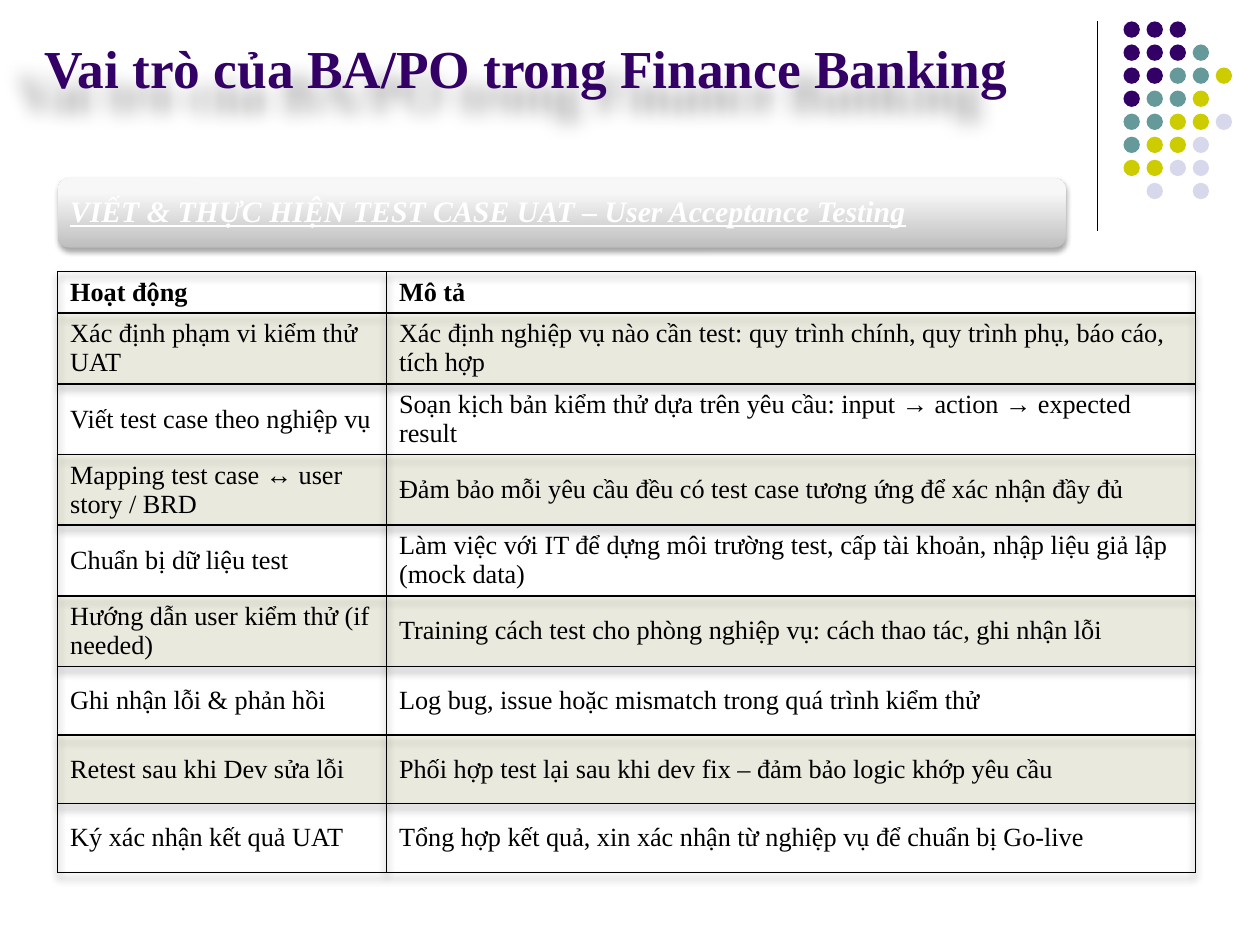
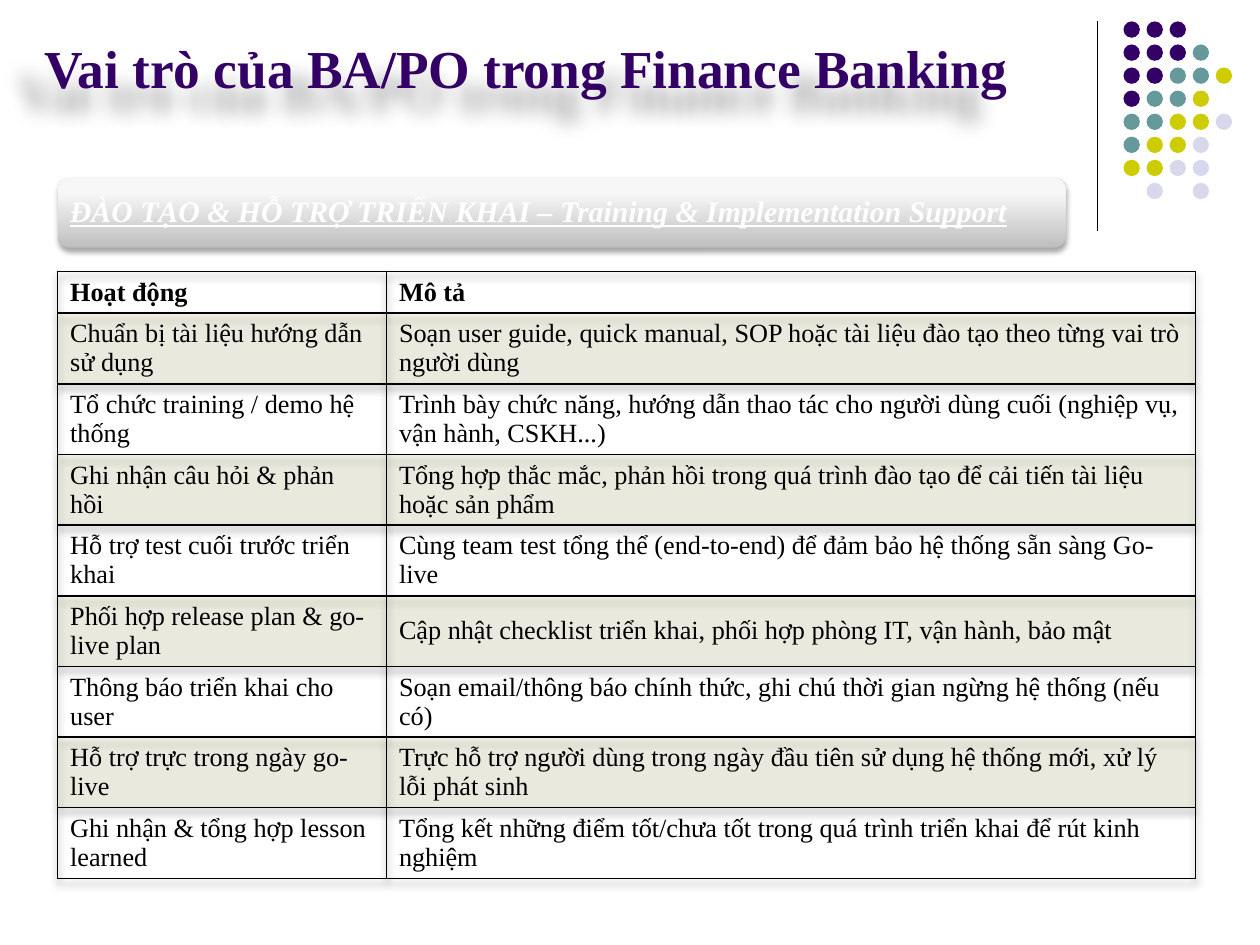
from pptx import Presentation
from pptx.dml.color import RGBColor
from pptx.enum.shapes import MSO_CONNECTOR, MSO_SHAPE
from pptx.enum.text import MSO_ANCHOR, MSO_AUTO_SIZE, PP_ALIGN
from pptx.oxml import parse_xml
from pptx.oxml.ns import nsdecls
from pptx.util import Inches, Pt

LINE = MSO_CONNECTOR.STRAIGHT
OVAL, ROUNDED = MSO_SHAPE.OVAL, MSO_SHAPE.ROUNDED_RECTANGLE
MIDDLE, BOTTOM = MSO_ANCHOR.MIDDLE, MSO_ANCHOR.BOTTOM
LEFT = PP_ALIGN.LEFT
NO_FIT = MSO_AUTO_SIZE.NONE

SLIDE_W, SLIDE_H = Inches(10), Inches(7.5)
COLS, ROWS = 100, 75
FONT = "Times New Roman"
PURPLE, TEAL, OLIVE, LAVENDER = "330066", "669999", "CCCC00", "D8D8EC"
BLACK, WHITE, BAND = "000000", "FFFFFF", "E2E2AA"
BAND_OPACITY = 20
NO_STYLE = "{2D5ABB26-0587-4C30-8999-92F81FD0307C}"

TITLE_BOX = (2.5, 2.58, 84.2, 5.8)
ORNAMENT_BOX = (87.1, 1.7, 10.7, 16.6)
BANNER_BOX = (4.58, 14.15, 80, 5.5)
TABLE_BOX = (4.57, 21.55, 90.3)

TITLE_FONT = dict(name=FONT, size=Pt(30.5), bold=True)
BANNER_FONT = dict(name=FONT, size=Pt(17), bold=True, italic=True, underline=True)
CELL_FONT = dict(name=FONT, size=Pt(15))

DOTS = ["PPP", "PPPT", "PPTTO", "PTTO", "TTOOL", "TOOL", "OOLL", " L L"]
DOT_COLOURS = dict(P=PURPLE, T=TEAL, O=OLIVE, L=LAVENDER)
DOT_INSET, DOT_STEP, DOT_SIZE = 2.07, 1.83, 1.3

TITLE = "Vai trò của BA/PO trong Finance Banking"
HEADER = ("Hoạt động", "Mô tả")
COLUMN_WIDTHS = (26.1, 64.2)
HEADER_HEIGHT = 3.31
CELL_MARGIN = 0.3

UAT = [
    ("Xác định phạm vi kiểm thử UAT",
     "Xác định nghiệp vụ nào cần test: quy trình chính, quy trình phụ, báo cáo, tích hợp"),
    ("Viết test case theo nghiệp vụ",
     "Soạn kịch bản kiểm thử dựa trên yêu cầu: input → action → expected result"),
    ("Mapping test case ↔ user story / BRD",
     "Đảm bảo mỗi yêu cầu đều có test case tương ứng để xác nhận đầy đủ"),
    ("Chuẩn bị dữ liệu test",
     "Làm việc với IT để dựng môi trường test, cấp tài khoản, nhập liệu giả lập (mock data)"),
    ("Hướng dẫn user kiểm thử (if needed)",
     "Training cách test cho phòng nghiệp vụ: cách thao tác, ghi nhận lỗi"),
    ("Ghi nhận lỗi & phản hồi",
     "Log bug, issue hoặc mismatch trong quá trình kiểm thử"),
    ("Retest sau khi Dev sửa lỗi",
     "Phối hợp test lại sau khi dev fix – đảm bảo logic khớp yêu cầu"),
    ("Ký xác nhận kết quả UAT",
     "Tổng hợp kết quả, xin xác nhận từ nghiệp vụ để chuẩn bị Go-live"),
]
TRAINING = [
    ("Chuẩn bị tài liệu hướng dẫn sử dụng",
     "Soạn user guide, quick manual, SOP hoặc tài liệu đào tạo theo từng vai trò người dùng"),
    ("Tổ chức training / demo hệ thống",
     "Trình bày chức năng, hướng dẫn thao tác cho người dùng cuối (nghiệp vụ, vận hành, CSKH...)"),
    ("Ghi nhận câu hỏi & phản hồi",
     "Tổng hợp thắc mắc, phản hồi trong quá trình đào tạo để cải tiến tài liệu hoặc sản phẩm"),
    ("Hỗ trợ test cuối trước triển khai",
     "Cùng team test tổng thể (end-to-end) để đảm bảo hệ thống sẵn sàng Go-live"),
    ("Phối hợp release plan & go-live plan",
     "Cập nhật checklist triển khai, phối hợp phòng IT, vận hành, bảo mật"),
    ("Thông báo triển khai cho user",
     "Soạn email/thông báo chính thức, ghi chú thời gian ngừng hệ thống (nếu có)"),
    ("Hỗ trợ trực trong ngày go-live",
     "Trực hỗ trợ người dùng trong ngày đầu tiên sử dụng hệ thống mới, xử lý lỗi phát sinh"),
    ("Ghi nhận & tổng hợp lesson learned",
     "Tổng kết những điểm tốt/chưa tốt trong quá trình triển khai để rút kinh nghiệm"),
]
TALL, SHORT = 5.61, 5.45
SLIDES = [
    ("VIẾT & THỰC HIỆN TEST CASE UAT – User Acceptance Testing",
     UAT, [TALL] * 5 + [SHORT] * 3),
    ("ĐÀO TẠO & HỖ TRỢ TRIỂN KHAI – Training & Implementation Support",
     TRAINING, [TALL] * 8),
]


def col(n):
    return int(SLIDE_W * n / COLS)


def row(n):
    return int(SLIDE_H * n / ROWS)


def grid(x, y, w, h):
    return col(x), row(y), col(w), row(h)


def rgb(colour):
    return RGBColor.from_string(colour)


def assign(target, **values):
    for name, value in values.items():
        setattr(target, name, value)


def write(tf, text, font, colour, **frame):
    assign(tf, word_wrap=True, **frame)
    p = tf.paragraphs[0]
    p.alignment = LEFT
    r = p.add_run()
    r.text = text
    assign(r.font, **font)
    r.font.color.rgb = rgb(colour)
    return p


def shadow_xml(blur, distance, angle, opacity):
    return parse_xml(
        f'<a:effectLst {nsdecls("a")}><a:outerShdw blurRad="{Pt(blur)}" dist="{Pt(distance)}" '
        f'dir="{angle * 60000}" algn="ctr" rotWithShape="0"><a:srgbClr val="{BLACK}">'
        f'<a:alpha val="{opacity * 1000}"/></a:srgbClr></a:outerShdw></a:effectLst>')


def add_title(s, box):
    sp = s.shapes.title
    left, top, width, height = grid(*box)
    assign(sp, left=left, top=top, width=width, height=height)
    p = write(sp.text_frame, TITLE, TITLE_FONT, PURPLE,
              vertical_anchor=BOTTOM, auto_size=NO_FIT)
    p.space_after = Pt(6)
    sp.element.spPr.append(shadow_xml(11, 20, 140, 35))


def add_ornament(s, box):
    x, y, w, h = box
    line = s.shapes.add_connector(LINE, col(x), row(y), col(x), row(y + h))
    line.line.color.rgb = rgb(BLACK)
    line.line.width = Pt(0.75)
    line.element.spPr.append(parse_xml(f'<a:effectLst {nsdecls("a")}/>'))
    dots = s.shapes.add_group_shape()
    for j, pattern in enumerate(DOTS):
        for i, key in enumerate(pattern):
            if key == " ":
                continue
            sp = dots.shapes.add_shape(OVAL, *grid(
                x + DOT_INSET + i * DOT_STEP, y + j * DOT_STEP, DOT_SIZE, DOT_SIZE))
            sp.shadow.inherit = False
            sp.fill.solid()
            sp.fill.fore_color.rgb = rgb(DOT_COLOURS[key])
            sp.line.fill.background()


def add_banner(s, box, text):
    x, y, w, h = box
    banner = s.shapes.add_group_shape()
    sp = banner.shapes.add_shape(ROUNDED, *grid(*box))
    stops = "".join(f'<a:gs pos="{pos * 1000}"><a:srgbClr val="{colour}"/></a:gs>'
                    for pos, colour in [(0, "BEBEBE"), (80, "F7F7F7"), (100, "F8F8F8")])
    spPr = sp.element.spPr
    spPr.append(parse_xml(f'<a:gradFill {nsdecls("a")} rotWithShape="1"><a:gsLst>{stops}</a:gsLst>'
                          '<a:lin ang="16200000" scaled="0"/></a:gradFill>'))
    sp.line.fill.background()
    spPr.append(shadow_xml(3.1, 1.8, 90, 35))
    label = banner.shapes.add_textbox(*grid(x + 0.27, y + 0.25, w - 0.5, h - 0.5))
    inset = col(0.7)
    p = write(label.text_frame, text, BANNER_FONT, WHITE, vertical_anchor=MIDDLE,
              margin_left=inset, margin_right=inset, margin_top=inset, margin_bottom=inset)
    assign(p, line_spacing=0.9, space_after=Pt(6))


def format_cell(cell, banded):
    assign(cell, vertical_anchor=MIDDLE,
           margin_top=row(CELL_MARGIN), margin_bottom=row(CELL_MARGIN))
    tcPr = cell._tc.get_or_add_tcPr()
    if banded:
        cell.fill.solid()
        cell.fill.fore_color.rgb = rgb(BAND)
        tcPr.find(".//{*}srgbClr").append(
            parse_xml(f'<a:alpha {nsdecls("a")} val="{BAND_OPACITY * 1000}"/>'))
    else:
        cell.fill.background()
    for i, side in enumerate("LRTB"):
        tcPr.insert(i, parse_xml(
            f'<a:ln{side} {nsdecls("a")} w="{Pt(1)}"><a:solidFill><a:srgbClr val="{BLACK}"/>'
            f'</a:solidFill></a:ln{side}>'))


def add_activity_table(s, box, activities, row_heights):
    x, y, w = box
    rows = [HEADER, *activities]
    heights = [HEADER_HEIGHT, *row_heights]
    table = s.shapes.add_table(len(rows), len(HEADER), *grid(x, y, w, sum(heights))).table
    tblPr = table._tbl.tblPr
    tblPr.find("{*}tableStyleId").text = NO_STYLE
    tblPr.insert(0, shadow_xml(4, 3, 90, 40))
    table.horz_banding = False
    for i, width in enumerate(COLUMN_WIDTHS):
        table.columns[i].width = col(width)
    for j, (texts, height) in enumerate(zip(rows, heights)):
        table.rows[j].height = row(height)
        for i, text in enumerate(texts):
            cell = table.cell(j, i)
            write(cell.text_frame, text, dict(CELL_FONT, bold=j == 0), BLACK)
            format_cell(cell, banded=j % 2 == 1)


def add_activity_slide(prs, heading, activities, row_heights):
    s = prs.slides.add_slide(prs.slide_layouts[5])
    add_ornament(s, ORNAMENT_BOX)
    add_title(s, TITLE_BOX)
    add_banner(s, BANNER_BOX, heading)
    add_activity_table(s, TABLE_BOX, activities, row_heights)


def main():
    prs = Presentation()
    assign(prs, slide_width=SLIDE_W, slide_height=SLIDE_H)
    for content in SLIDES:
        add_activity_slide(prs, *content)
    prs.save("out.pptx")


if __name__ == "__main__":
    main()
